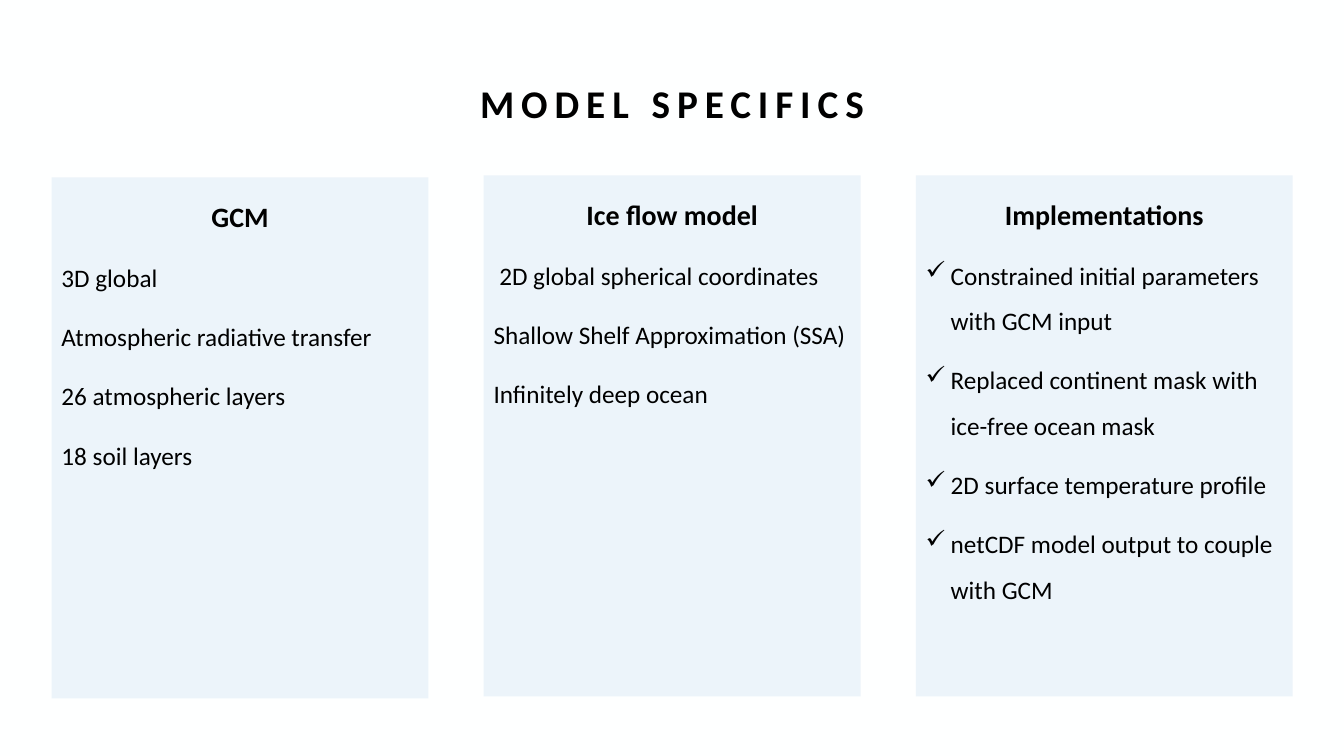
"""Builds the slide on the specifics of the coupled climate and ice flow models."""
from lxml import etree
from pptx import Presentation
from pptx.dml.color import RGBColor
from pptx.enum.shapes import MSO_SHAPE
from pptx.enum.text import MSO_ANCHOR, PP_ALIGN
from pptx.oxml.ns import qn
from pptx.util import Cm, Pt

RECTANGLE = MSO_SHAPE.RECTANGLE
TOP, BOTTOM = MSO_ANCHOR.TOP, MSO_ANCHOR.BOTTOM
LEFT, CENTER = PP_ALIGN.LEFT, PP_ALIGN.CENTER

PANEL_LEFT, PANEL_STEP = 1.3, 10.89
PANEL_WIDTH, PANEL_HEIGHT = 9.5, 13.13
PANELS = [
    (4.47, "GCM", None, [
        "3D global",
        "Atmospheric radiative transfer",
        "26 atmospheric layers",
        "18 soil layers",
    ]),
    (4.42, "Ice flow model", None, [
        " 2D global spherical coordinates",
        "Shallow Shelf Approximation (SSA)",
        "Infinitely deep ocean",
    ]),
    (4.42, "Implementations", "✓", [
        "Constrained initial parameters with GCM input",
        "Replaced continent mask with ice-free ocean mask",
        "2D surface temperature profile",
        "netCDF model output to couple with GCM",
    ]),
]


def color(value):
    return RGBColor.from_string(value)


def write(paragraph, text, *, size, bold=False, align=LEFT, line=1.5,
          before=0, tracking=0, bullet=None):
    if bullet:
        properties = paragraph._p.get_or_add_pPr()
        properties.set("marL", str(Cm(0.63)))
        properties.set("indent", str(-Cm(0.63)))
        etree.SubElement(properties, qn("a:buChar")).set("char", bullet)
    paragraph.alignment = align
    paragraph.line_spacing = line
    paragraph.space_before = Pt(before)
    run = paragraph.add_run()
    run.text = text
    run.font.name = SlideBuilder.font
    run.font.size = Pt(size)
    run.font.bold = bold
    run.font.color.rgb = color(SlideBuilder.ink)
    if tracking:
        run._r.get_or_add_rPr().set("spc", str(tracking * 100))


class SlideBuilder:
    font = "Calibri"
    ink = "000000"
    background = "FEFFFF"
    panel_fill = "9DC3E6"
    panel_opacity = 18

    def __init__(self, presentation):
        self.slide = presentation.slides.add_slide(presentation.slide_layouts[6])
        fill = self.slide.background.fill
        fill.solid()
        fill.fore_color.rgb = color(self.background)

    def title(self, text):
        shape = self.slide.shapes.add_textbox(Cm(4.47), Cm(0.33), Cm(24.94), Cm(2.97))
        frame = shape.text_frame
        frame.word_wrap = True
        frame.vertical_anchor = BOTTOM
        write(frame.paragraphs[0], text, size=28, bold=True, align=CENTER,
              line=1.2, tracking=5)

    def panel(self, left, top, heading, bullet, items):
        shape = self.slide.shapes.add_shape(
            RECTANGLE, Cm(left), Cm(top), Cm(PANEL_WIDTH), Cm(PANEL_HEIGHT))
        shape.shadow.inherit = False
        shape.line.fill.background()
        shape.fill.solid()
        shape.fill.fore_color.rgb = color(self.panel_fill)
        fill_color = shape._element.spPr.find(qn("a:solidFill")).find(qn("a:srgbClr"))
        etree.SubElement(fill_color, qn("a:alpha")).set("val", str(self.panel_opacity * 1000))
        frame = shape.text_frame
        frame.word_wrap = True
        frame.vertical_anchor = TOP
        write(frame.paragraphs[0], heading, size=20, bold=True, align=CENTER)
        for item in items:
            write(frame.add_paragraph(), item, size=18, before=10, bullet=bullet)


def main():
    presentation = Presentation()
    presentation.slide_width = Cm(33.87)
    presentation.slide_height = Cm(19.05)
    builder = SlideBuilder(presentation)
    builder.title("MODEL SPECIFICS")
    for index, (top, heading, bullet, items) in enumerate(PANELS):
        builder.panel(PANEL_LEFT + index * PANEL_STEP, top, heading, bullet, items)
    presentation.save("out.pptx")


if __name__ == "__main__":
    main()
